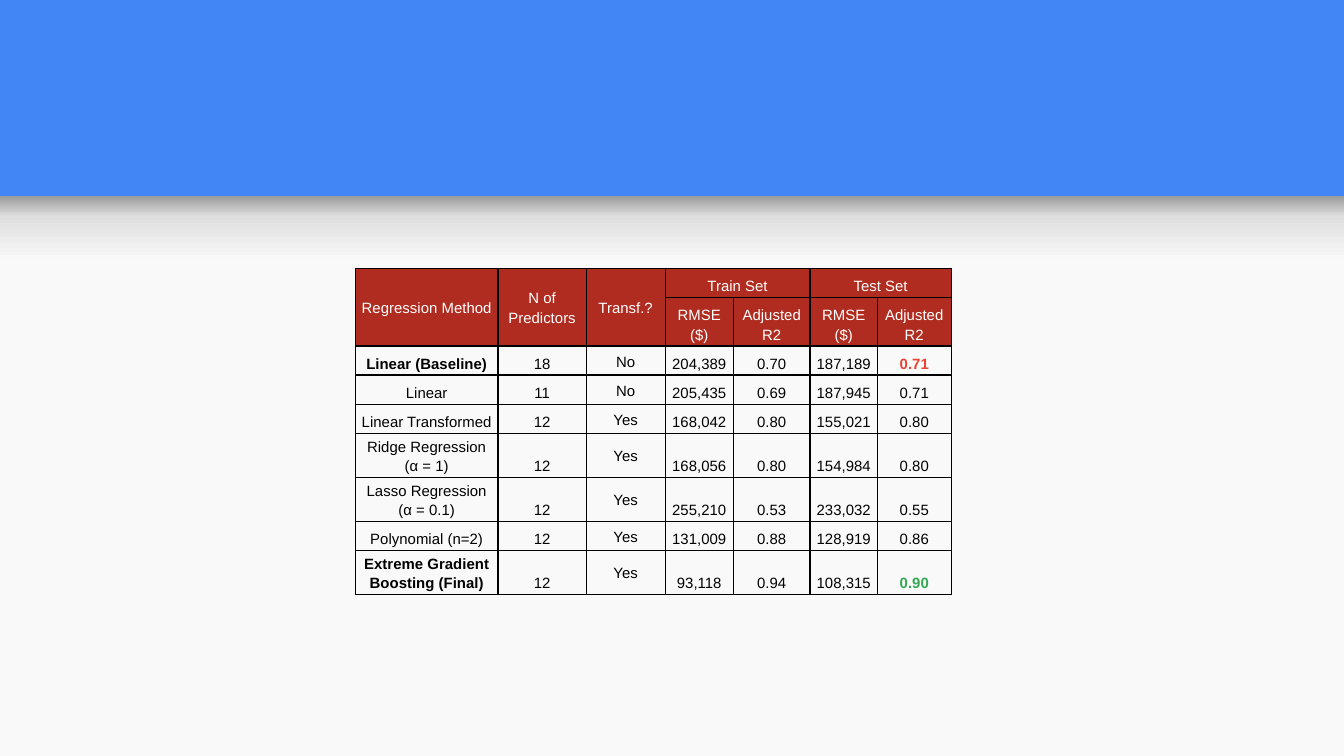
from lxml import etree
from pptx import Presentation
from pptx import util as u
from pptx.dml import color
from pptx.enum import shapes, text
from pptx.oxml import ns

COLORS = {
    "blue": "4285F4", "paper": "F9F9F9", "mist": "DEDEDE", "gray": "999999",
    "header": "B02C20", "white": "FFFFFF", "black": "000000",
    "red": "EA4335", "green": "34A853",
}
SHADOW_STOPS = [(0, "paper"), (36, "paper"), (80, "mist"), (100, "gray")]
COLUMN_WIDTHS = [2.69, 1.67, 1.49, 1.29, 1.45, 1.27, 1.4]
ROW_HEIGHTS = [0.55, 0.92] + [0.55] * 7
TABLE_ROWS = [
    ["Regression Method", "N of Predictors", "Transf.?", "Train Set", "", "Test Set", ""],
    ["", "", "", "RMSE ($)", "Adjusted R2", "RMSE ($)", "Adjusted R2"],
    ["Linear (Baseline)", "18", "No", "204,389", "0.70", "187,189", "0.71"],
    ["Linear", "11", "No", "205,435", "0.69", "187,945", "0.71"],
    ["Linear Transformed", "12", "Yes", "168,042", "0.80", "155,021", "0.80"],
    ["Ridge Regression (α = 1)", "12", "Yes", "168,056", "0.80", "154,984", "0.80"],
    ["Lasso Regression (α = 0.1)", "12", "Yes", "255,210", "0.53", "233,032", "0.55"],
    ["Polynomial (n=2)", "12", "Yes", "131,009", "0.88", "128,919", "0.86"],
    ["Extreme Gradient Boosting (Final)", "12", "Yes", "93,118", "0.94", "108,315", "0.90"],
]
MERGES = [((0, 0), (1, 0)), ((0, 1), (1, 1)), ((0, 2), (1, 2)),
          ((0, 3), (0, 4)), ((0, 5), (0, 6))]
HIGHLIGHTS = {(2, 0): "black", (2, 6): "red", (8, 0): "black", (8, 6): "green"}


def rgb(name):
    """Return the named colour."""
    return color.RGBColor.from_string(COLORS[name])


def add_color(parent, name):
    """Append the named colour to a fill element."""
    etree.SubElement(parent, ns.qn("a:srgbClr"), val=COLORS[name])


def add_panel(slide, top, height, fill="paper"):
    """Add a borderless rectangle across the slide."""
    shape = slide.shapes.add_shape(
        shapes.MSO_SHAPE.RECTANGLE, 0, u.Cm(top), u.Cm(25.4), u.Cm(height))
    shape.shadow.inherit = False
    shape.line.fill.background()
    shape.fill.solid()
    shape.fill.fore_color.rgb = rgb(fill)
    return shape


def set_gradient(shape, stops, angle):
    """Fill a shape with a linear gradient of any number of stops."""
    shape.fill.gradient()
    shape.fill.gradient_angle = angle
    stop_list = shape.element.spPr.find(".//" + ns.qn("a:gsLst"))
    for stop in list(stop_list):
        stop_list.remove(stop)
    for position, name in stops:
        stop = etree.SubElement(stop_list, ns.qn("a:gs"), pos=str(position * 1000))
        add_color(stop, name)


def set_borders(cell, name="black", width=0.75):
    """Draw a line on all four sides of a cell."""
    properties = cell._tc.get_or_add_tcPr()
    for index, side in enumerate(("a:lnL", "a:lnR", "a:lnT", "a:lnB")):
        line = etree.Element(ns.qn(side), w=str(u.Pt(width)))
        add_color(etree.SubElement(line, ns.qn("a:solidFill")), name)
        properties.insert(index, line)


def write_cell(cell, content, font_color="black", bold=False, fill=None, middle=False):
    """Write centred text in a cell and set its format."""
    cell.margin_left = cell.margin_right = u.Cm(0.08)
    cell.margin_top = cell.margin_bottom = u.Cm(0.05)
    cell.vertical_anchor = text.MSO_ANCHOR.MIDDLE if middle else text.MSO_ANCHOR.BOTTOM
    paragraph = cell.text_frame.paragraphs[0]
    paragraph.alignment = text.PP_ALIGN.CENTER
    paragraph.line_spacing = 1.15
    paragraph.font.size = u.Pt(8)
    if content:
        run = paragraph.add_run()
        run.text = content
        run.font.name = "Arial"
        run.font.size = u.Pt(8)
        run.font.bold = bold
        run.font.color.rgb = rgb(font_color)
    if fill:
        cell.fill.solid()
        cell.fill.fore_color.rgb = rgb(fill)
    else:
        cell.fill.background()
    set_borders(cell)


def add_results_table(slide, left, top):
    """Add the table that compares the regression methods."""
    frame = slide.shapes.add_table(
        len(TABLE_ROWS), len(COLUMN_WIDTHS), u.Cm(left), u.Cm(top),
        u.Cm(sum(COLUMN_WIDTHS)), u.Cm(sum(ROW_HEIGHTS)))
    table = frame.table
    table.first_row = table.horz_banding = False
    for column, width in zip(table.columns, COLUMN_WIDTHS):
        column.width = u.Cm(width)
    for row, height in zip(table.rows, ROW_HEIGHTS):
        row.height = u.Cm(height)
    for row, values in enumerate(TABLE_ROWS):
        is_header = row < 2
        for column, value in enumerate(values):
            position = (row, column)
            write_cell(
                table.cell(row, column), value,
                font_color="white" if is_header else HIGHLIGHTS.get(position, "black"),
                bold=position in HIGHLIGHTS,
                fill="header" if is_header else None,
                middle=column == 2 or (is_header and column < 2))
    for first, last in MERGES:
        table.cell(*first).merge(table.cell(*last))


def main():
    """Build and save the slide."""
    presentation = Presentation()
    presentation.slide_width = u.Cm(25.4)
    presentation.slide_height = u.Cm(14.29)
    slide = presentation.slides.add_slide(presentation.slide_layouts[6])
    slide.background.fill.solid()
    slide.background.fill.fore_color.rgb = rgb("blue")
    add_panel(slide, 4.85, 9.44)
    set_gradient(add_panel(slide, 3.7, 1.96), SHADOW_STOPS, 90)
    add_results_table(slide, 6.72, 5.07)
    presentation.save("out.pptx")


if __name__ == "__main__":
    main()
